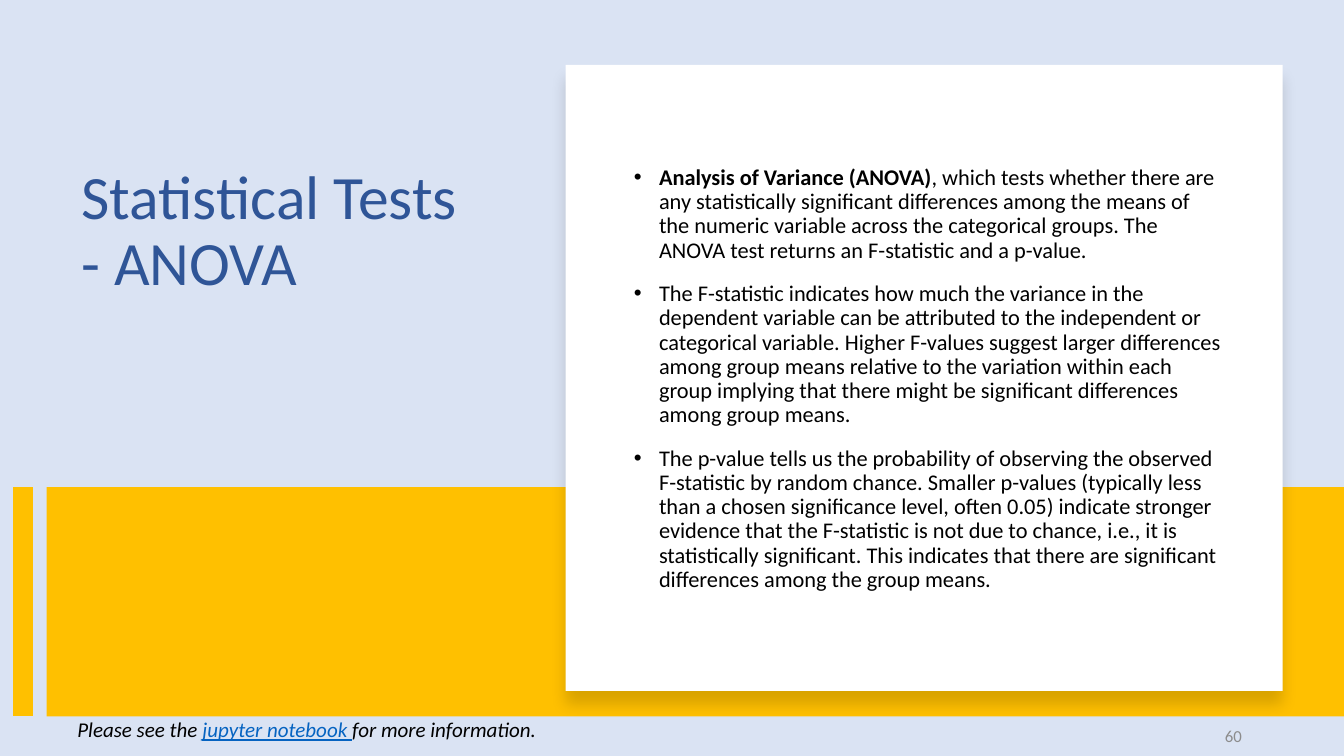
from dataclasses import dataclass, field

from lxml.etree import SubElement
from pptx import Presentation
from pptx.dml.color import RGBColor
from pptx.enum.shapes import MSO_CONNECTOR, MSO_SHAPE
from pptx.enum.text import MSO_ANCHOR, MSO_AUTO_SIZE, PP_ALIGN
from pptx.oxml.ns import qn
from pptx.slide import Slide
from pptx.util import Pt

YELLOW = "FFC000"
BAND_TOP, BAND_BOTTOM = 347.9, 511.7


@dataclass
class Run:
    text: str
    color: str = "000000"
    formats: dict = field(default_factory=dict)


@dataclass
class TextBlock:
    box: tuple[float, float, float, float]
    size: float
    paragraphs: list[list[Run]]
    paragraph_formats: dict = field(default_factory=dict)
    frame_formats: dict = field(default_factory=dict)
    bulleted: bool = False


@dataclass
class Panel:
    box: tuple[float, float, float, float]
    color: str
    shadowed: bool = False


PANELS = [
    Panel((33.3, BAND_TOP, 926.7, BAND_BOTTOM - BAND_TOP), YELLOW),
    Panel((404.1, 46.4, 512.1, 447.1), "FFFFFF", shadowed=True),
]

TEXT_BLOCKS = [
    # Title
    TextBlock((51.1, 115.2, 298.8, 211.7), 44,
              [[Run("Statistical Tests - ANOVA", "2F5597")]],
              {"line_spacing": 0.9, "space_after": Pt(6)}),
    # Explanation
    TextBlock((445.7, 115.2, 436.3, 338.4), 16, [
        [Run("Analysis of Variance (ANOVA)", formats={"bold": True}),
         Run(", which tests whether there are any statistically significant differences "
             "among the means of the numeric variable across the categorical groups. "
             "The ANOVA test returns an F-statistic and a p-value.")],
        [Run("The F-statistic indicates how much the variance in the dependent variable "
             "can be attributed to the independent or categorical variable. Higher "
             "F-values suggest larger differences among group means relative to the "
             "variation within each group implying that there might be significant "
             "differences among group means.")],
        [Run("The p-value tells us the probability of observing the observed F-statistic "
             "by random chance. Smaller p-values (typically less than a chosen "
             "significance level, often 0.05) indicate stronger evidence that the "
             "F-statistic is not due to chance, i.e., it is statistically significant. "
             "This indicates that there are significant differences among the group "
             "means.")],
    ], {"line_spacing": 0.9, "space_before": Pt(14)}, bulleted=True),
    # Slide number
    TextBlock((678.2, 511.2, 216, 28.8), 12, [[Run("60", "8C8C8C")]],
              {"alignment": PP_ALIGN.RIGHT, "space_after": Pt(6)},
              {"vertical_anchor": MSO_ANCHOR.MIDDLE}),
    # Footnote
    TextBlock((48.2, 508.3, 397.4, 25.4), 15,
              [[Run("Please see the ", formats={"italic": True}),
                Run("jupyter notebook ", "0563C1", {"italic": True, "underline": True}),
                Run("for more information.", formats={"italic": True})]],
              {"space_after": Pt(6)},
              {"auto_size": MSO_AUTO_SIZE.SHAPE_TO_FIT_TEXT}),
]


def rgb(color: str) -> RGBColor:
    return RGBColor.from_string(color)


def set_formats(target: object, formats: dict) -> None:
    for name, value in formats.items():
        setattr(target, name, value)


def add_panel(slide: Slide, panel: Panel) -> None:
    shape = slide.shapes.add_shape(MSO_SHAPE.RECTANGLE, *map(Pt, panel.box))
    shape.shadow.inherit = False
    shape.fill.solid()
    shape.fill.fore_color.rgb = rgb(panel.color)
    shape.line.fill.background()
    if panel.shadowed:
        effects = shape._element.spPr.find(qn("a:effectLst"))
        shadow = SubElement(effects, qn("a:outerShdw"), blurRad=str(Pt(11)),
                            dist=str(Pt(10)), dir="5400000", algn="t", rotWithShape="0")
        shadow_color = SubElement(shadow, qn("a:srgbClr"), val="000000")
        SubElement(shadow_color, qn("a:alpha"), val="15000")


def add_stripe(slide: Slide, x: float, width: float) -> None:
    connector = slide.shapes.add_connector(
        MSO_CONNECTOR.STRAIGHT, Pt(x), Pt(BAND_TOP), Pt(x), Pt(BAND_BOTTOM))
    connector.line.color.rgb = rgb(YELLOW)
    connector.line.width = Pt(width)
    SubElement(connector._element.spPr, qn("a:effectLst"))


def add_text(slide: Slide, block: TextBlock) -> None:
    frame = slide.shapes.add_textbox(*map(Pt, block.box)).text_frame
    set_formats(frame, {"word_wrap": True} | block.frame_formats)
    for index, runs in enumerate(block.paragraphs):
        paragraph = frame.add_paragraph() if index else frame.paragraphs[0]
        set_formats(paragraph, block.paragraph_formats)
        if index == 0:
            paragraph.space_before = Pt(0)
        if block.bulleted:
            properties = paragraph._p.get_or_add_pPr()
            properties.set("marL", str(Pt(18)))
            properties.set("indent", str(Pt(-18)))
            SubElement(properties, qn("a:buFont"), typeface="Arial")
            SubElement(properties, qn("a:buChar"), char="•")
        for part in runs:
            run = paragraph.add_run()
            run.text = part.text
            set_formats(run.font, {"name": "Calibri", "size": Pt(block.size)} | part.formats)
            run.font.color.rgb = rgb(part.color)


def main() -> None:
    presentation = Presentation()
    presentation.slide_width, presentation.slide_height = Pt(960), Pt(540)
    slide = presentation.slides.add_slide(presentation.slide_layouts[6])
    slide.background.fill.solid()
    slide.background.fill.fore_color.rgb = rgb("DAE3F3")

    # Yellow band with its stripe, then the white card
    for panel in PANELS:
        add_panel(slide, panel)
    add_stripe(slide, x=16.6, width=14)

    # Wording
    for block in TEXT_BLOCKS:
        add_text(slide, block)

    presentation.save("out.pptx")


if __name__ == "__main__":
    main()
